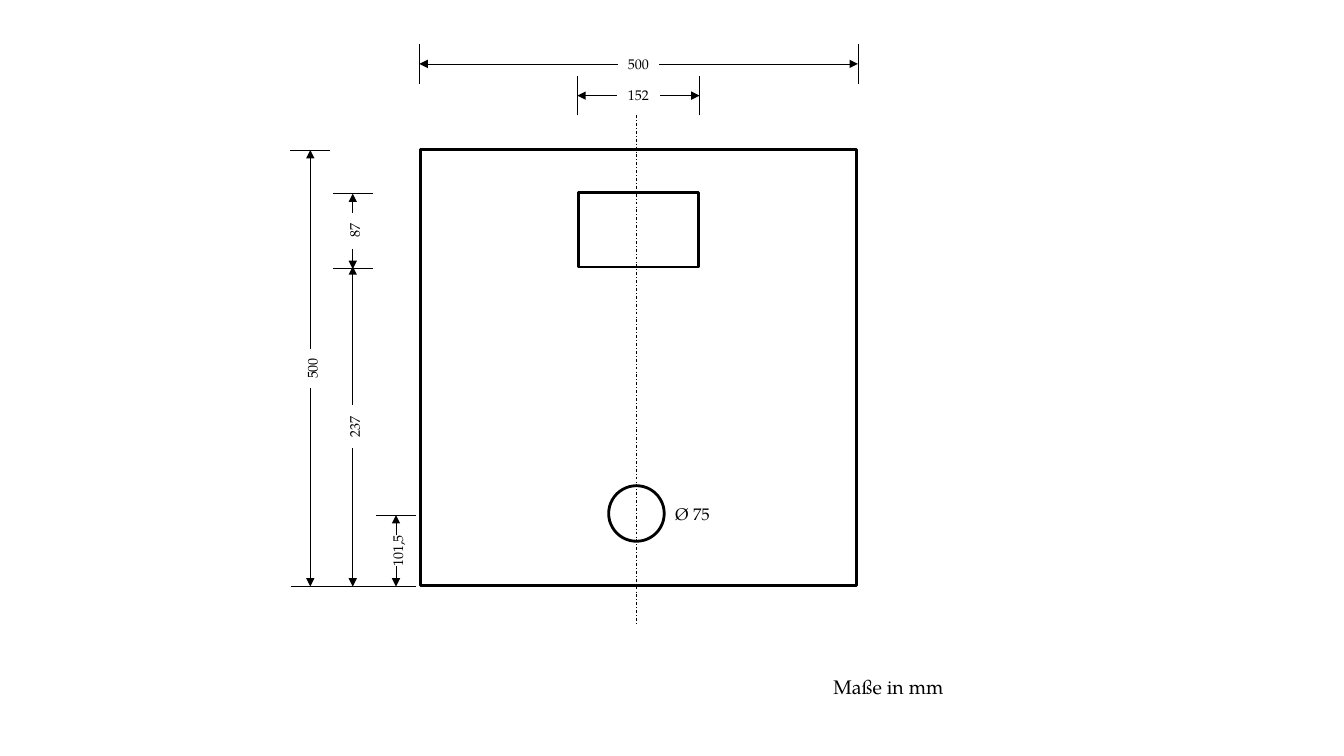
"""Draw a dimensioned front plate with a window, a round hole and a centre line."""
from lxml.etree import SubElement
from pptx import Presentation
from pptx.dml.color import RGBColor
from pptx.enum.dml import MSO_LINE
from pptx.enum.shapes import MSO_CONNECTOR, MSO_SHAPE
from pptx.enum.text import MSO_AUTO_SIZE, PP_ALIGN
from pptx.oxml.ns import qn
from pptx.util import Cm, Pt

THEME = {
    "ink": RGBColor(0, 0, 0), "paper": RGBColor(255, 255, 255),
    "font": "TeX Gyre Pagella", "dim": 10, "note": 12, "unit": 14,
    "thick": 2, "thin": 0.5,
}
PARTS = [
    (MSO_SHAPE.RECTANGLE, 10.59, 3.76, 11, 11),
    (MSO_SHAPE.OVAL, 15.34, 12.24, 1.4, 1.4),
    (MSO_SHAPE.RECTANGLE, 14.58, 4.85, 3.02, 1.88),
]
AXIS = (16.03, 2.9, 16.03, 15.7)
BASE = (10.49, 14.78, 7.34, 14.78)
DIMS = [
    {"text": "500", "up": False, "off": 1.61, "span": (10.57, 21.62),
     "gap": (15.57, 16.61), "ticks": (10.57, 21.62)},
    {"text": "152", "up": False, "off": 2.41, "span": (14.55, 17.63),
     "gap": (15.54, 16.64), "ticks": (14.55, 17.63)},
    {"text": "500", "up": True, "off": 7.82, "span": (3.78, 14.78),
     "gap": (8.79, 9.78), "ticks": (3.78,)},
    {"text": "87", "up": True, "off": 8.89, "span": (4.88, 6.78),
     "gap": (5.36, 6.27), "ticks": (4.88, 6.76)},
    {"text": "237", "up": True, "off": 8.89, "span": (6.71, 14.78),
     "gap": (10.21, 11.3), "ticks": ()},
    {"text": "101,5", "up": True, "off": 9.98, "span": (12.98, 14.78),
     "gap": (13.49, 14.27), "ticks": (12.98,)},
]
NOTES = [
    ("Ø 75", 16.76, 12.57, 2.41, 0.76, "note"),
    ("Maße in mm", 20.75, 16.89, 3.4, 0.86, "unit"),
]
TICK, HIGH = 0.5, 0.69


def apply(item, **form):
    for key, val in form.items():
        setattr(item, key, val)


def line(ends, head=False, dash=None):
    link = slide.shapes.add_connector(MSO_CONNECTOR.STRAIGHT, *map(Cm, ends))
    apply(link.line, width=Pt(THEME["thin"]), dash_style=dash)
    link.line.color.rgb = THEME["ink"]
    if head:
        SubElement(link.line._get_or_add_ln(), qn("a:tailEnd"), type="triangle")
    SubElement(link._element.spPr, qn("a:effectLst"))


def label(text, left, top, wide, high, size, align=PP_ALIGN.LEFT, turn=0):
    box = slide.shapes.add_textbox(*map(Cm, (left, top, wide, high)))
    box.rotation = turn
    apply(box.text_frame, word_wrap=False,
          auto_size=MSO_AUTO_SIZE.SHAPE_TO_FIT_TEXT)
    para = box.text_frame.paragraphs[0]
    para.alignment = align
    run = para.add_run()
    run.text = text
    apply(run.font, name=THEME["font"], size=Pt(THEME[size]))
    run.font.color.rgb = THEME["ink"]


def part(kind, *place):
    shape = slide.shapes.add_shape(kind, *map(Cm, place))
    shape.shadow.inherit = False
    shape.fill.solid()
    shape.fill.fore_color.rgb = THEME["paper"]
    shape.line.width = Pt(THEME["thick"])
    shape.line.color.rgb = THEME["ink"]


def point(up, along, off):
    return (off, along) if up else (along, off)


def measure(text, up, off, span, gap, ticks):
    for start, end in zip(gap, span):
        line(point(up, start, off) + point(up, end, off), head=True)
    for tick in ticks:
        line(point(up, tick, off + TICK) + point(up, tick, off - TICK))
    mid_x, mid_y = point(up, sum(gap) / 2, off + 0.05 * up)
    wide = max(1.15, 0.27 * len(text))
    label(text, mid_x - wide / 2, mid_y - HIGH / 2, wide, HIGH, "dim",
          PP_ALIGN.CENTER, 270 * up)


deck = Presentation()
apply(deck, slide_width=Cm(33.87), slide_height=Cm(19.05))
slide = deck.slides.add_slide(deck.slide_layouts[6])
for item in PARTS:
    part(*item)
line(AXIS, dash=MSO_LINE.DASH_DOT)
line(BASE)
for dim in DIMS:
    measure(**dim)
for note in NOTES:
    label(*note)
deck.save("out.pptx")
